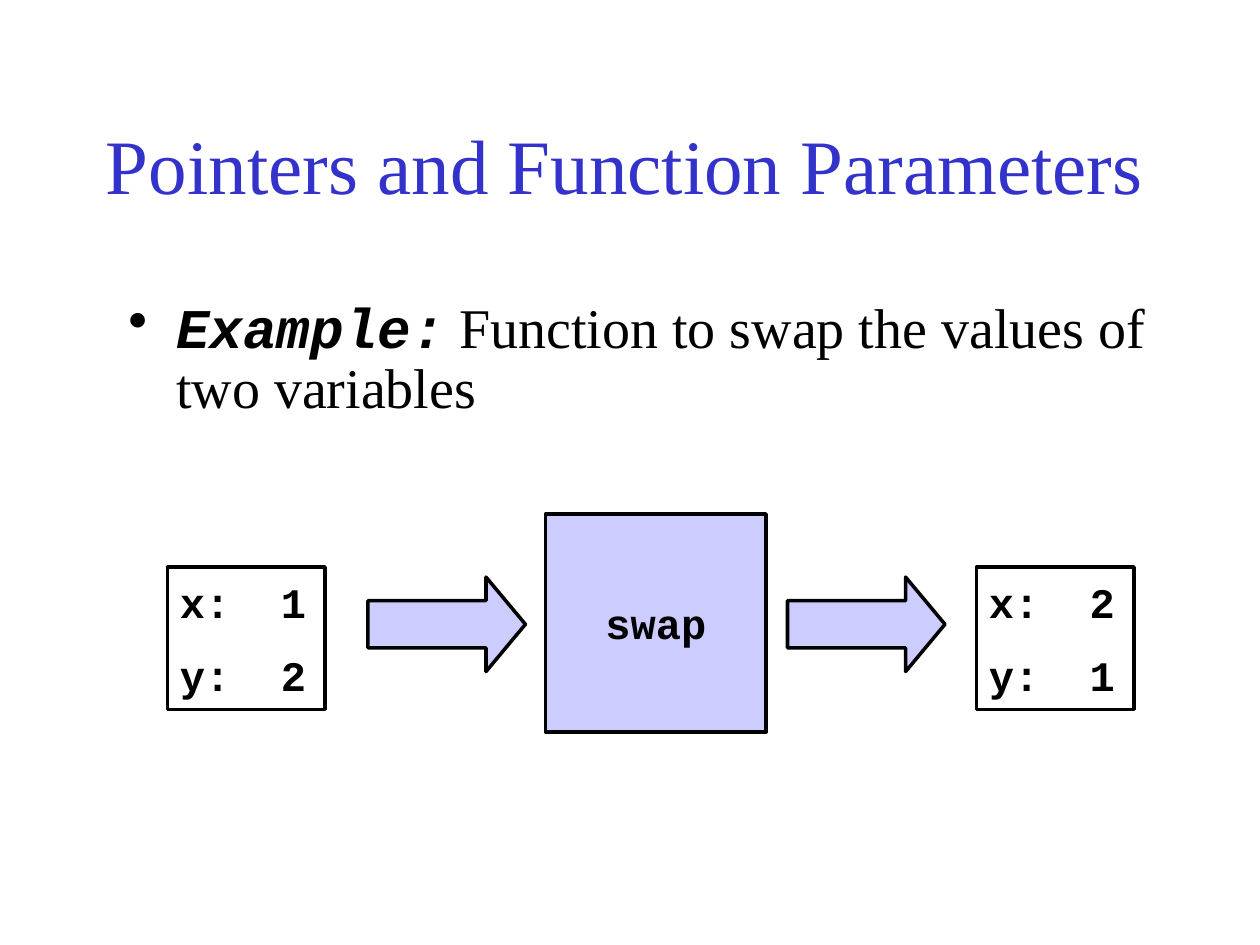
from dataclasses import dataclass
from lxml.etree import SubElement
from pptx import Presentation
from pptx.dml.color import RGBColor
from pptx.enum.shapes import MSO_SHAPE
from pptx.enum.text import MSO_ANCHOR, PP_ALIGN
from pptx.oxml.ns import qn
from pptx.util import Inches, Pt


@dataclass(frozen=True)
class Theme:
    serif: str = "Times New Roman"
    mono: str = "Courier New"
    blue: RGBColor = RGBColor(0x33, 0x33, 0xCC)
    black: RGBColor = RGBColor(0, 0, 0)
    pale: RGBColor = RGBColor(0xCC, 0xCC, 0xFF)
    title: int = 44
    body: int = 32
    code: int = 24
    line: int = 2


class Deck:
    def __init__(self, theme, slide):
        self.theme = theme
        self.slide = slide

    def style(self, run, face, size, color, bold=False, slant=False):
        font = run.font
        font.name = face
        font.size = Pt(size)
        font.color.rgb = color
        font.bold = bold
        font.italic = slant

    def frame(self, left, top, width, height):
        box = self.slide.shapes.add_textbox(*map(Inches, (left, top, width, height)))
        box.text_frame.word_wrap = True
        return box.text_frame

    def title(self, text, *area):
        frame = self.frame(*area)
        frame.vertical_anchor = MSO_ANCHOR.MIDDLE
        frame.text = text
        para = frame.paragraphs[0]
        para.alignment = PP_ALIGN.CENTER
        self.style(para.runs[0], self.theme.serif, self.theme.title, self.theme.blue)

    def bullet(self, lead, text, *area):
        theme = self.theme
        para = self.frame(*area).paragraphs[0]
        para.line_spacing = 0.9
        para.space_before = Pt(3.5)
        props = para._p.get_or_add_pPr()
        props.set("marL", str(Inches(0.38)))
        props.set("indent", str(-Inches(0.38)))
        SubElement(props, qn("a:buChar"), char="•")
        head, rest = para.add_run(), para.add_run()
        head.text, rest.text = lead, text
        self.style(head, theme.mono, theme.body, theme.black, True, True)
        self.style(rest, theme.serif, theme.body, theme.black)

    def shape(self, kind, area, fill=None):
        shape = self.slide.shapes.add_shape(kind, *map(Inches, area))
        shape.shadow.inherit = False
        if fill is None:
            shape.fill.background()
        else:
            shape.fill.solid()
            shape.fill.fore_color.rgb = fill
        shape.line.color.rgb = self.theme.black
        shape.line.width = Pt(self.theme.line)
        return shape

    def box(self, text, *area, fill=None, align=PP_ALIGN.LEFT):
        theme = self.theme
        frame = self.shape(MSO_SHAPE.RECTANGLE, area, fill).text_frame
        frame.word_wrap = True
        frame.vertical_anchor = MSO_ANCHOR.MIDDLE
        frame.text = text
        for index, para in enumerate(frame.paragraphs):
            para.alignment = align
            para.space_before = Pt(13.4 if index else 0)
            self.style(para.runs[0], theme.mono, theme.code, theme.black, True)

    def arrow(self, *area):
        arrow = self.shape(MSO_SHAPE.RIGHT_ARROW, area, self.theme.pale)
        arrow.adjustments[1] = 0.417


def main():
    show = Presentation()
    show.slide_width, show.slide_height = Inches(10), Inches(7.5)
    theme = Theme()
    deck = Deck(theme, show.slides.add_slide(show.slide_layouts[6]))

    deck.title("Pointers and Function Parameters", 0.42, 0.67, 9.08, 1.25)
    deck.bullet("Example:", " Function to swap the values of two variables",
                0.92, 2.33, 8.5, 0.92)
    deck.box("swap", 4.33, 4.08, 1.75, 1.73, fill=theme.pale, align=PP_ALIGN.CENTER)
    for left, text in ((1.33, "x:  1\ny:  2"), (7.75, "x:  2\ny:  1")):
        deck.box(text, left, 4.5, 1.25, 1.13)
    for left in (2.92, 6.25):
        deck.arrow(left, 4.58, 1.25, 0.75)

    show.save("out.pptx")


if __name__ == "__main__":
    main()
